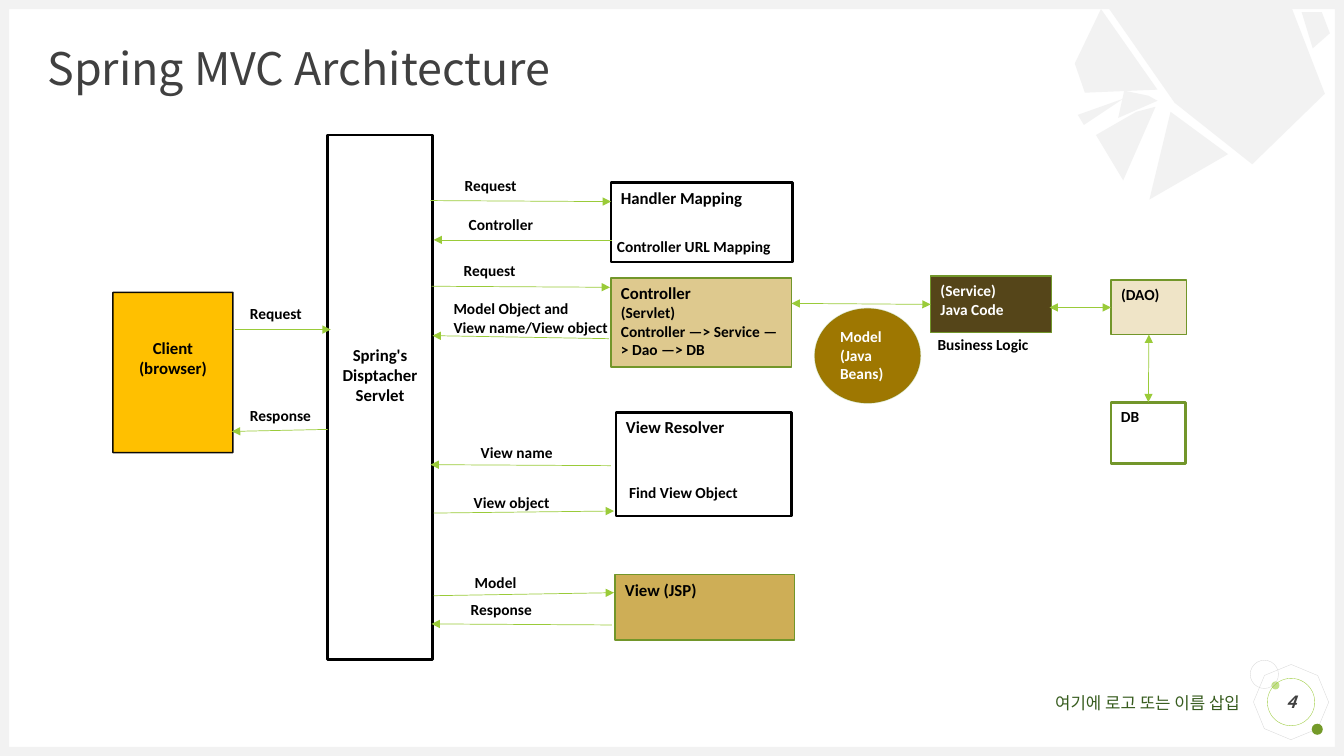
"""Build the Spring MVC Architecture slide."""
from lxml.etree import SubElement
from pptx import Presentation
from pptx.dml.color import RGBColor
from pptx.enum.shapes import MSO_CONNECTOR, MSO_SHAPE
from pptx.enum.text import MSO_ANCHOR, PP_ALIGN
from pptx.oxml.ns import qn
from pptx.util import Inches, Pt

SANS, BODY = "Noto Sans CJK KR", "Calibri"
PALE, GRAY, LIME, GREEN = "F2F2F2", "D9D9D9", "9ACB39", "72962A"
BLACK, WHITE, DARK = "000000", "FFFFFF", "404040"
RECT, OVAL = MSO_SHAPE.RECTANGLE, MSO_SHAPE.OVAL

BARS = [(0, 7.41, 13.33, 0.09), (0, 0, 13.33, 0.09),
        (0, 0, 0.09, 7.5), (13.24, 0, 0.09, 7.5)]
SHARDS = [
    [(12.42, 1.63), (11.65, 1.02), (10.96, 0.03), (12.8, 0.05), (13.14, 0.93)],
    [(10.92, 0.09), (11.48, 0.89), (10.76, 0.92), (10.66, 0.63)],
    [(10.75, 1.24), (10.69, 1.14), (11.14, 0.98)],
    [(13.02, 0.48), (12.91, 0.12), (13.11, 0.12), (13.19, 0.33)],
    [(12.18, 1.53), (11.4, 1.98), (11.61, 1.11)],
    [(11.14, 1.79), (10.87, 1.34), (11.27, 1.11), (11.46, 1.06)],
    [(11.09, 1.17), (11.15, 0.9), (11.39, 0.95), (11.48, 1)],
]
DECOR = [
    (MSO_SHAPE.OCTAGON, (12.46, 6.62, 0.69, 0.69), None, GRAY, 0.25),
    (OVAL, (12.61, 6.76, 0.08, 0.08), "C2E088", None, 0),
    (OVAL, (13.01, 7.18, 0.11, 0.11), "749A29", None, 0),
    (OVAL, (12.4, 6.55, 0.28, 0.28), None, GRAY, 0.25),
]
BOXES = [
    ("Client\n(browser)", (1.12, 2.9, 1.19, 1.59), "FFC000", BLACK, 1, [12]),
    ("Spring's\nDisptacher\nServlet", (3.25, 1.34, 1.04, 5.2), None, BLACK, 2, [12]),
    ("Handler Mapping", (6.06, 1.81, 1.8, 0.79), None, BLACK, 2, [12]),
    ("Controller\n(Servlet)\nController —> Service —> Dao —> DB",
     (6.06, 2.76, 1.79, 0.88), "DEC98E", GREEN, 1, [12, 11]),
    ("View Resolver", (6.11, 4.09, 1.74, 1.03), None, BLACK, 2, [12]),
    ("View (JSP)", (6.1, 5.7, 1.78, 0.65), "CEAE56", GREEN, 1, [12]),
    ("(Service)\nJava Code", (9.23, 2.74, 1.2, 0.56), "554519", GREEN, 1, [11]),
    ("(DAO)", (11.02, 2.78, 0.75, 0.54), "EFE4C7", GREEN, 1, [11]),
    ("DB", (11.02, 3.99, 0.74, 0.61), None, GREEN, 2, [11]),
]
INSETS = {"Client": 0.45, "Spring's": 2.08}
ARROWS = [
    (2.33, 3.27, 3.28, 3.27), (4.27, 1.99, 6.06, 2), (4.3, 5.09, 6.09, 5.07),
    (4.3, 5.91, 6.09, 5.88), (4.28, 2.84, 6.05, 2.85), (3.25, 4.26, 2.3, 4.28),
    (6.07, 2.38, 4.3, 2.38), (6.04, 3.36, 4.29, 3.33), (6.06, 4.62, 4.27, 4.61),
    (6.07, 6.2, 4.28, 6.19),
]
PAIRS = [
    ((11.39, 3.32, 11.39, 3.99), ("(DAO)", 2), ("DB", 0)),
    ((11.02, 3.05, 10.41, 3.05), ("(DAO)", 1), None),
    ((9.23, 3.02, 7.85, 3.01), ("(Service)", 1), None),
]
LABELS = [
    ("Model", (4.61, 5.64, 0.62, 0.29), False),
    ("Request", (4.51, 1.7, 0.72, 0.29), False),
    ("View name", (4.67, 4.35, 0.94, 0.29), True),
    ("Request", (4.5, 2.54, 0.72, 0.29), False),
    ("Request", (2.38, 2.97, 0.72, 0.29), False),
    ("Response", (2.38, 3.98, 0.82, 0.29), False),
    ("Response", (4.57, 5.9, 0.82, 0.29), False),
    ("View object", (4.6, 4.84, 0.96, 0.29), False),
    ("Controller", (4.55, 2.08, 0.85, 0.29), False),
    ("Model Object and\nView name/View object", (4.4, 2.92, 1.74, 0.48), False),
    ("Controller URL Mapping", (6.02, 2.3, 1.88, 0.27), True),
    ("Find View Object", (6.14, 4.74, 1.32, 0.32), True),
    ("Business Logic", (9.2, 3.28, 1.32, 0.29), True),
]

deck = Presentation()
deck.slide_width, deck.slide_height = Inches(13.33), Inches(7.5)
slide = deck.slides.add_slide(deck.slide_layouts[6])
shapes = slide.shapes


def tint(part, color):
    part.solid()
    part.fore_color.rgb = RGBColor.from_string(color)


def paint(shape, fill, line=None, width=0):
    shape.shadow.inherit = False
    if fill:
        tint(shape.fill, fill)
    else:
        shape.fill.background()
    if line:
        tint(shape.line.fill, line)
        shape.line.width = Pt(width)
    else:
        shape.line.fill.background()
    return shape


def draw(kind, place, fill, line=None, width=0):
    return paint(shapes.add_shape(kind, *map(Inches, place)), fill, line, width)


def fade(shape, share):
    line = shape._element.spPr.find(qn("a:ln"))
    color = line.find(".//" + qn("a:srgbClr"))
    SubElement(color, qn("a:alpha"), val=str(share * 1000))


def write(shape, text, sizes, color=BLACK, font=BODY, bold=True,
          align=PP_ALIGN.LEFT, anchor=MSO_ANCHOR.TOP, wrap=True):
    frame = shape.text_frame
    frame.text = text
    frame.word_wrap = wrap
    frame.vertical_anchor = anchor
    for i, para in enumerate(frame.paragraphs):
        para.alignment = align
        for run in para.runs:
            face = run.font
            face.size = Pt(sizes[min(i, len(sizes) - 1)])
            face.bold, face.name = bold, font
            tint(face.fill, color)
            SubElement(run._r.get_or_add_rPr(), qn("a:ea"), typeface=font)
    return frame


def label(place, text, sizes, **style):
    return write(shapes.add_textbox(*map(Inches, place)), text, sizes, **style)


def bare(frame):
    frame.margin_left = frame.margin_right = 0
    frame.margin_top = frame.margin_bottom = 0


def arrow(ends, heads):
    link = shapes.add_connector(MSO_CONNECTOR.STRAIGHT, *map(Inches, ends))
    tint(link.line.fill, LIME)
    link.line.width = Pt(0.5)
    line = link._element.spPr.find(qn("a:ln"))
    for head in heads:
        SubElement(line, qn("a:" + head), type="triangle")
    SubElement(link._element.spPr, qn("a:effectLst"))
    return link


decor = [draw(*item) for item in DECOR]
decor[0].rotation = 22.7
for bar in BARS:
    draw(RECT, bar, PALE)
for shard in SHARDS:
    first, *rest = [tuple(map(Inches, spot)) for spot in shard]
    form = shapes.build_freeform(*first)
    form.add_line_segments(rest, close=True)
    paint(form.convert_to_shape(), PALE)

bare(label((9.55, 6.87, 2.75, 0.2), "여기에 로고 또는 이름 삽입", [12],
           color="375C1E", font=SANS, bold=False, align=PP_ALIGN.RIGHT))
title = label((0.47, 0.47, 12.4, 0.47), "Spring MVC Architecture", [32],
              color=DARK, font=SANS, bold=False, anchor=MSO_ANCHOR.MIDDLE)
title.paragraphs[0].line_spacing = 0.9
bare(title)
badge = write(draw(OVAL, (12.57, 6.73, 0.47, 0.47), None, LIME, 0.25), "4", [12],
              color=DARK, font=SANS, align=PP_ALIGN.CENTER, anchor=MSO_ANCHOR.MIDDLE)
badge.paragraphs[0].runs[0].font.italic = True
bare(badge)

nodes = {}
for text, place, fill, line, width, sizes in BOXES:
    name = text.split("\n")[0]
    nodes[name] = box = draw(RECT, place, fill, line, width)
    frame = write(box, text, sizes, color=WHITE if name == "(Service)" else BLACK,
                  align=PP_ALIGN.CENTER if name in INSETS else PP_ALIGN.LEFT)
    frame.margin_top = Inches(INSETS.get(name, 0.05))
fade(nodes["Client"], 95)

for ends in ARROWS:
    arrow(ends, ["tailEnd"])
for ends, start, stop in PAIRS:
    link = arrow(ends, ["headEnd", "tailEnd"])
    link.begin_connect(nodes[start[0]], start[1])
    if stop:
        link.end_connect(nodes[stop[0]], stop[1])

beans = draw(OVAL, (8.08, 3.06, 1.05, 0.94), "9E7701", GREEN, 1)
fade(beans, 20)
write(beans, "Model\n(Java\nBeans)", [11], color=WHITE)
for text, place, wrap in LABELS:
    label(place, text, [11], wrap=wrap)

deck.save("out.pptx")
